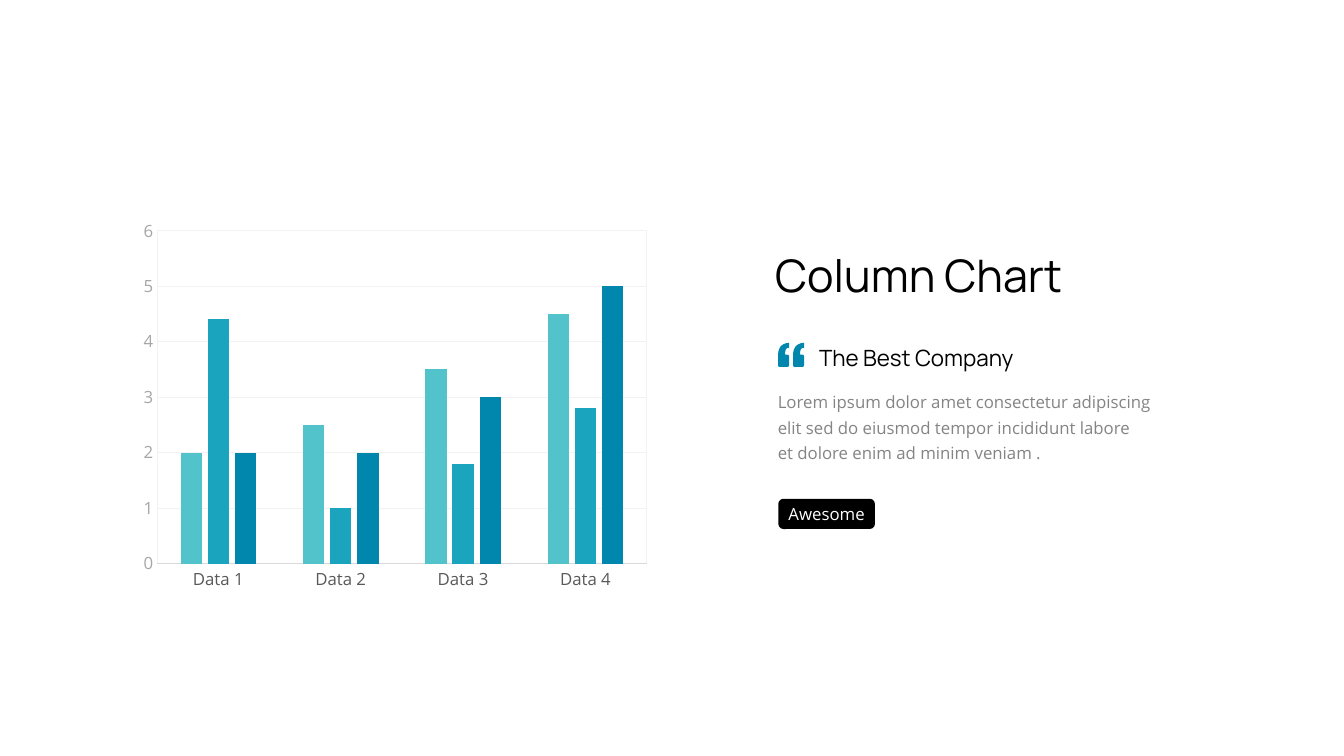
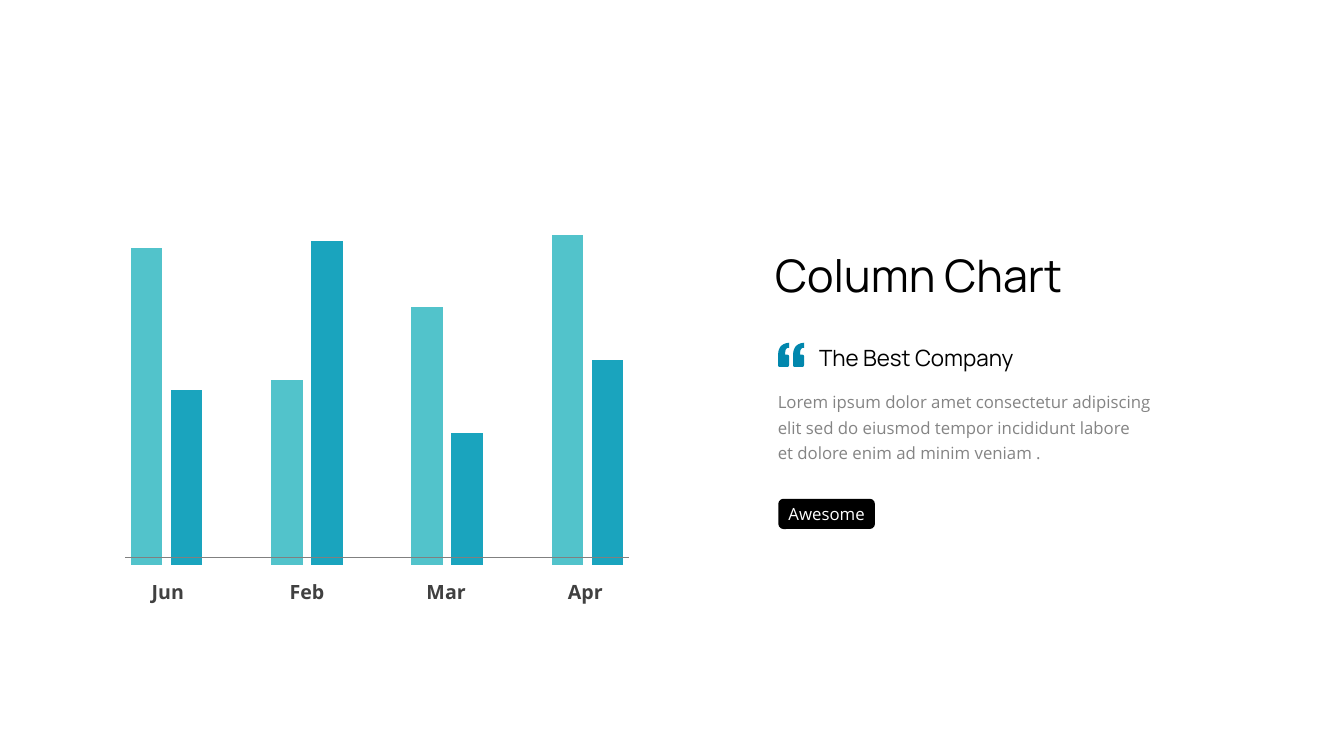
from lxml.etree import SubElement
from pptx import Presentation
from pptx.chart.data import CategoryChartData
from pptx.dml.color import RGBColor
from pptx.enum.chart import XL_CHART_TYPE, XL_TICK_MARK
from pptx.enum.shapes import MSO_CONNECTOR, MSO_SHAPE
from pptx.enum.text import MSO_ANCHOR, MSO_AUTO_SIZE, PP_ALIGN
from pptx.oxml import parse_xml
from pptx.oxml.ns import nsdecls, qn
from pptx.util import Pt

HEAD, BODY = "Manrope", "Open Sans"
BLACK, WHITE = "000000", "FFFFFF"
GREY, DARK = "848484", "404040"
TEALS = "52C3CB", "1AA4BE", "0187AD"

# One quote mark: two coordinates are a corner, six are a Bezier curve.
MARK = [(7.8, 0), (7.8, 3.6), (5.6, 3.6, 5, 5, 5, 8.6), (6.8, 8.6),
        (7.4, 8.6, 7.8, 9, 7.8, 9.6), (7.8, 16), (7.8, 16.8, 7.4, 17.2, 6.8, 17.2),
        (1, 17.2), (0.4, 17.2, 0, 16.8, 0, 16), (0, 9.4), (0, 5, 1, 0.7, 7.8, 0)]


def color(code):
    return RGBColor.from_string(code)


def trace(steps, left, top):
    """Turn corners and curves into a list of points in EMU."""
    dots = []
    for step in steps:
        if len(step) == 2:
            dots.append(step)
            continue
        ends = [dots[-1], step[:2], step[2:4], step[4:]]
        for i in range(1, 9):
            t = i / 8
            parts = (1 - t) ** 3, 3 * t * (1 - t) ** 2, 3 * t * t * (1 - t), t ** 3
            dots.append(tuple(sum(w * e[k] for w, e in zip(parts, ends)) for k in (0, 1)))
    return [(Pt(left + x), Pt(top + y)) for x, y in dots]


class Deck:
    def __init__(self):
        self.file = Presentation()
        self.file.slide_width, self.file.slide_height = Pt(960), Pt(540)
        self.slide = None

    def letter(self, shape, lines, size, font=BODY, ink=BLACK, align=PP_ALIGN.LEFT,
               bold=False, pitch=None, wrap=True, pad=(7.2, 3.6), anchor=MSO_ANCHOR.TOP):
        """Set and format the text of a shape."""
        frame = shape.text_frame
        frame.text = "\n".join(lines)
        frame.word_wrap = wrap
        frame.auto_size = MSO_AUTO_SIZE.NONE
        frame.vertical_anchor = anchor
        frame.margin_left = frame.margin_right = Pt(pad[0])
        frame.margin_top = frame.margin_bottom = Pt(pad[1])
        for para in frame.paragraphs:
            para.alignment = align
            if pitch:
                para.line_spacing = pitch
            para.font.name, para.font.size, para.font.bold = font, Pt(size), bold
            para.font.color.rgb = color(ink)

    def title(self, text):
        """Start a new slide under this title."""
        self.slide = self.file.slides.add_slide(self.file.slide_layouts[5])
        shape = self.slide.shapes.title
        shape.left, shape.top, shape.width, shape.height = map(Pt, (546.5, 173.5, 277, 51))
        self.letter(shape, [text], 32, HEAD)

    def text(self, box, lines, size, **style):
        self.letter(self.slide.shapes.add_textbox(*map(Pt, box)), lines, size, **style)

    def paint(self, shape, fill):
        shape.shadow.inherit = False
        shape.fill.solid()
        shape.fill.fore_color.rgb = color(fill)
        shape.line.fill.background()

    def pill(self, box, text):
        shape = self.slide.shapes.add_shape(MSO_SHAPE.ROUNDED_RECTANGLE, *map(Pt, box))
        self.paint(shape, BLACK)
        self.letter(shape, [text], 12, ink=WHITE, align=PP_ALIGN.CENTER, wrap=False,
                    pad=(0, 0), anchor=MSO_ANCHOR.MIDDLE)

    def quote(self, left, top):
        first, second = (trace(MARK, left + step, top) for step in (0, 10.7))
        pen = self.slide.shapes.build_freeform(*first[0], scale=1.0)
        pen.add_line_segments(first[1:])
        pen.move_to(*second[0])
        pen.add_line_segments(second[1:])
        self.paint(pen.convert_to_shape(), TEALS[2])

    def line(self, x1, x2, y, ink):
        rule = self.slide.shapes.add_connector(MSO_CONNECTOR.STRAIGHT, *map(Pt, (x1, y, x2, y)))
        rule.line.color.rgb, rule.line.width = color(ink), Pt(0.75)
        SubElement(rule._element.spPr, qn("a:effectLst"))

    def chart(self, box, names, rows, top, area):
        """Add columns up to the value top; area is the plot's share of the box."""
        data = CategoryChartData()
        data.categories = names
        for i, row in enumerate(rows, 1):
            data.add_series(f"Series {i}", row)
        chart = self.slide.shapes.add_chart(
            XL_CHART_TYPE.COLUMN_CLUSTERED, *map(Pt, box), data).chart
        chart.has_legend = chart.has_title = False
        chart.font.name, chart.font.size = BODY, Pt(10)
        plot = chart.plots[0]
        plot.gap_width, plot.overlap, plot.vary_by_categories = 219, -27, False
        for series, fill in zip(plot.series, TEALS):
            series.format.fill.solid()
            series.format.fill.fore_color.rgb = color(fill)
        axis = chart.value_axis
        axis.minimum_scale, axis.maximum_scale = 0, top
        tags = "".join(f'<c:{tag} val="{val}"/>' for tag, val in zip("xywh", area))
        region = chart._chartSpace.chart.plotArea
        for old in region.findall(qn("c:layout")):
            region.remove(old)
        region.insert(0, parse_xml(
            f'<c:layout {nsdecls("c")}><c:manualLayout><c:layoutTarget val="inner"/>'
            f'<c:xMode val="edge"/><c:yMode val="edge"/>{tags}</c:manualLayout></c:layout>'))
        return chart

    def axes(self, chart):
        """Show both axes, the grid and a pale frame around the plot."""
        names, values = chart.category_axis, chart.value_axis
        for axis, ink in (names, "595959"), (values, "A6A6A6"):
            axis.major_tick_mark = axis.minor_tick_mark = XL_TICK_MARK.NONE
            font = axis.tick_labels.font
            font.name, font.size, font.color.rgb = BODY, Pt(12), color(ink)
        values.major_unit = 1
        values.format.line.fill.background()
        values.has_major_gridlines = True
        for edge, ink in (names.format.line, "D9D9D9"), (values.major_gridlines.format.line, "F2F2F2"):
            edge.color.rgb, edge.width = color(ink), Pt(0.75)
        chart._chartSpace.chart.plotArea.append(parse_xml(
            f'<c:spPr {nsdecls("c", "a")}><a:noFill/><a:ln w="9525"><a:solidFill>'
            '<a:srgbClr val="F2F2F2"/></a:solidFill></a:ln></c:spPr>'))

    def bare(self, chart):
        """Hide both axes and the grid."""
        chart.value_axis.has_major_gridlines = False
        chart.value_axis.visible = chart.category_axis.visible = False

    def story(self):
        """Start a slide with the title and text on its right half."""
        self.title("Column Chart")
        self.text((578, 242.5, 177, 29), ["The Best Company"], 16, font=HEAD)
        self.quote(555.8, 244.8)
        self.text((548.5, 273, 321, 69),
                  ["Lorem ipsum dolor amet consectetur adipiscing",
                   "elit sed do eiusmod tempor incididunt labore",
                   "et dolore enim ad minim veniam ."], 12, ink=GREY, pitch=1.25)
        self.pill((556, 356.3, 69, 21.6), "Awesome")


def main():
    deck = Deck()
    deck.story()
    chart = deck.chart((93.5, 151, 376, 276.5), [f"Data {i}" for i in range(1, 5)],
                       [(2, 2.5, 3.5, 4.5), (4.4, 1, 1.8, 2.8), (2, 2, 3, 5)],
                       6, (0.05, 0.05, 0.93, 0.86))
    deck.axes(chart)

    deck.story()
    chart = deck.chart((60.5, 136, 417.6, 273), ["1", "2", "3", "4"],
                       [(96, 56, 78, 100), (53, 98, 40, 62)],
                       110, (0.02, 0.03, 0.96, 0.95))
    deck.bare(chart)
    deck.line(89.3, 449.3, 398.2, "808080")
    for i, month in enumerate(("Jun", "Feb", "Mar", "Apr")):
        deck.text((93.6 + 99.4 * i, 414, 52.6, 19), [month], 14, ink=DARK,
                  align=PP_ALIGN.CENTER, bold=True, pad=(0, 0))
    deck.file.save("out.pptx")


if __name__ == "__main__":
    main()
